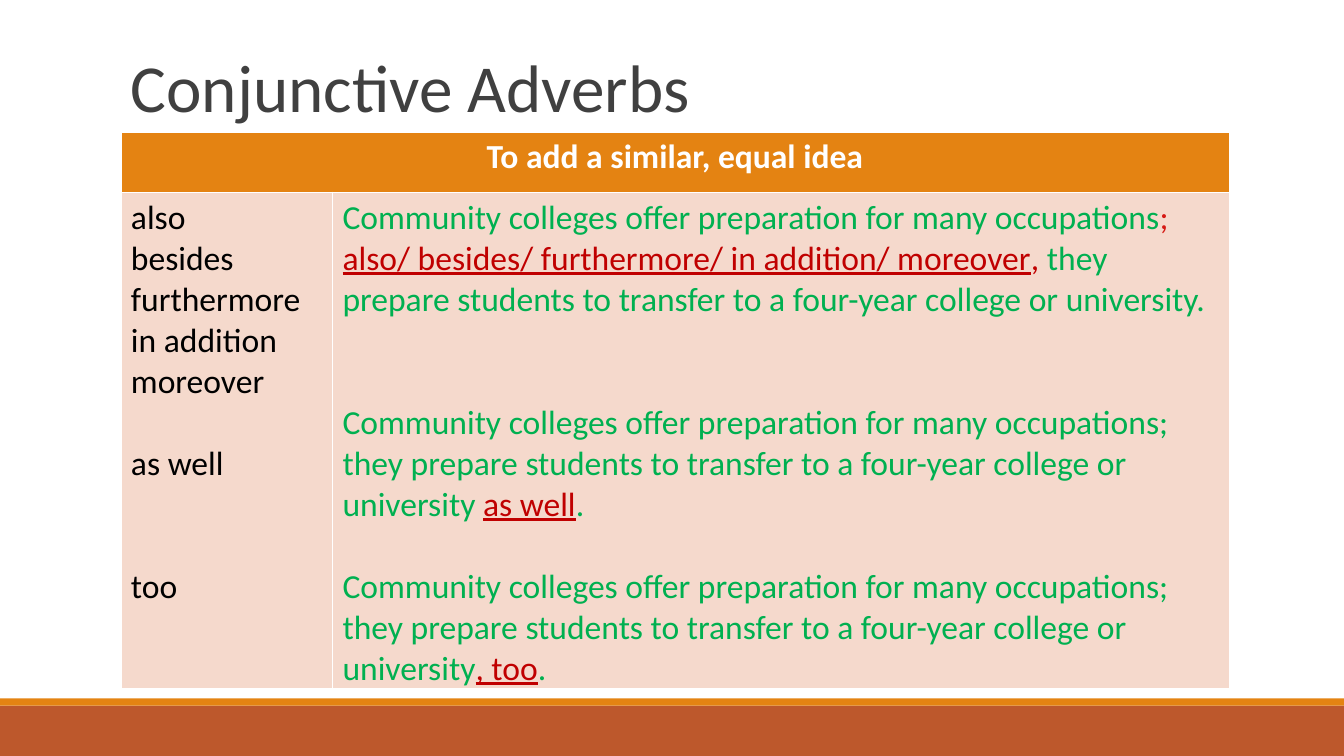
from lxml import etree
from pptx import Presentation
from pptx.dml.color import RGBColor
from pptx.enum.shapes import MSO_SHAPE
from pptx.enum.text import MSO_ANCHOR, PP_ALIGN
from pptx.oxml.ns import qn
from pptx.util import Inches, Pt

RECTANGLE = MSO_SHAPE.RECTANGLE
BOTTOM = MSO_ANCHOR.BOTTOM
CENTER = PP_ALIGN.CENTER

FONT = "Calibri"
ORANGE, RUST, PINK = "E48312", "BD582C", "F5D9CC"
GREEN, CRIMSON, SCARLET = "00B050", "C00000", "D61914"
WHITE, BLACK, GRAY = "FFFFFF", "000000", "404040"

UNIT = 0.1
PAGE_COLUMNS, PAGE_ROWS = 133.4, 75
LEFT, WIDTH = 12, 110
TABLE_TOP = 13.1
TABLE_COLUMNS = (21, 89)
TABLE_ROWS = (6, 49)
LINE_PITCH = 29.3
THIN, THICK = 0.45, 1.47

OFFER = "Community colleges offer preparation for many occupations"
TRANSFER = "they prepare students to transfer to a four-year college or university"

ADVERBS = [
    (0, [("also", BLACK, False)]),
    (0, [("besides furthermore", BLACK, False)]),
    (0, [("in addition moreover", BLACK, False)]),
    (1, [("as well", BLACK, False)]),
    (2, [("too", BLACK, False)]),
]
EXAMPLES = [
    (0, [
        (OFFER, GREEN, False),
        ("; ", SCARLET, False),
        ("also/ besides/ furthermore/ in addition/ moreover", CRIMSON, True),
        (", ", CRIMSON, False),
        (f"{TRANSFER}.", GREEN, False),
    ]),
    (2, [
        (f"{OFFER}; {TRANSFER} ", GREEN, False),
        ("as well", CRIMSON, True),
        (".", GREEN, False),
    ]),
    (1, [
        (f"{OFFER}; {TRANSFER}", GREEN, False),
        (", too", CRIMSON, True),
        (".", GREEN, False),
    ]),
]


def color(value):
    """Turn a hex string into a colour."""
    return RGBColor.from_string(value)


def grid(*counts):
    """Turn counts of grid units into lengths."""
    return [Inches(count * UNIT) for count in counts]


def set_font(para, size, shade=None, bold=False):
    """Set the font that all spans of a paragraph share."""
    font = para.font
    font.name, font.size, font.bold = FONT, Pt(size), bold
    if shade:
        font.color.rgb = color(shade)


def add_band(page, top, height, shade):
    """Add a plain band across the page."""
    band = page.shapes.add_shape(RECTANGLE, *grid(0, top, PAGE_COLUMNS, height))
    band.shadow.inherit = False
    band.fill.solid()
    band.fill.fore_color.rgb = color(shade)
    band.line.fill.background()


def add_title(page, text):
    """Add the heading above the table."""
    box = page.shapes.add_textbox(*grid(LEFT, 3.1, WIDTH, 9.9))
    frame = box.text_frame
    frame.word_wrap = True
    frame.vertical_anchor = BOTTOM
    para = frame.paragraphs[0]
    para.text = text
    para.line_spacing = 0.85
    set_font(para, 48, GRAY)


def style_cell(cell, shade, top, bottom):
    """Give a cell its white borders and its fill."""
    properties = cell._tc.get_or_add_tcPr()
    for side, width in (("L", THIN), ("R", THIN), ("T", top), ("B", bottom)):
        border = etree.SubElement(properties, qn(f"a:ln{side}"), w=str(Pt(width)))
        paint = etree.SubElement(border, qn("a:solidFill"))
        etree.SubElement(paint, qn("a:srgbClr"), val=WHITE)
    cell.fill.solid()
    cell.fill.fore_color.rgb = color(shade)


def fill_text(cell, paragraphs):
    """Write paragraphs of coloured spans, each after a gap in lines."""
    frame = cell.text_frame
    for index, (gap, spans) in enumerate(paragraphs):
        para = frame.add_paragraph() if index else frame.paragraphs[0]
        para.space_before = Pt(gap * LINE_PITCH)
        set_font(para, 24)
        for text, shade, underline in spans:
            span = para.add_run()
            span.text = text
            span.font.color.rgb = color(shade)
            span.font.underline = underline


def add_adverb_table(page):
    """Add the table of adverbs and example sentences."""
    place = grid(LEFT, TABLE_TOP, WIDTH, sum(TABLE_ROWS))
    table = page.shapes.add_table(2, 2, *place).table
    for column, width in zip(table.columns, grid(*TABLE_COLUMNS)):
        column.width = width
    for row, height in zip(table.rows, grid(*TABLE_ROWS)):
        row.height = height

    header = table.cell(0, 0)
    header.merge(table.cell(0, 1))
    para = header.text_frame.paragraphs[0]
    para.text = "To add a similar, equal idea"
    para.alignment = CENTER
    set_font(para, 24, WHITE, bold=True)

    for index in range(2):
        style_cell(table.cell(0, index), ORANGE, THIN, THICK)
        style_cell(table.cell(1, index), PINK, THICK, THIN)
    fill_text(table.cell(1, 0), ADVERBS)
    fill_text(table.cell(1, 1), EXAMPLES)


def main():
    """Build the slide and save it."""
    deck = Presentation()
    deck.slide_width, deck.slide_height = grid(PAGE_COLUMNS, PAGE_ROWS)
    page = deck.slides.add_slide(deck.slide_layouts[6])
    add_band(page, 70, 5, RUST)
    add_band(page, 69.3, 0.7, ORANGE)
    add_title(page, "Conjunctive Adverbs")
    add_adverb_table(page)
    deck.save("out.pptx")


if __name__ == "__main__":
    main()
